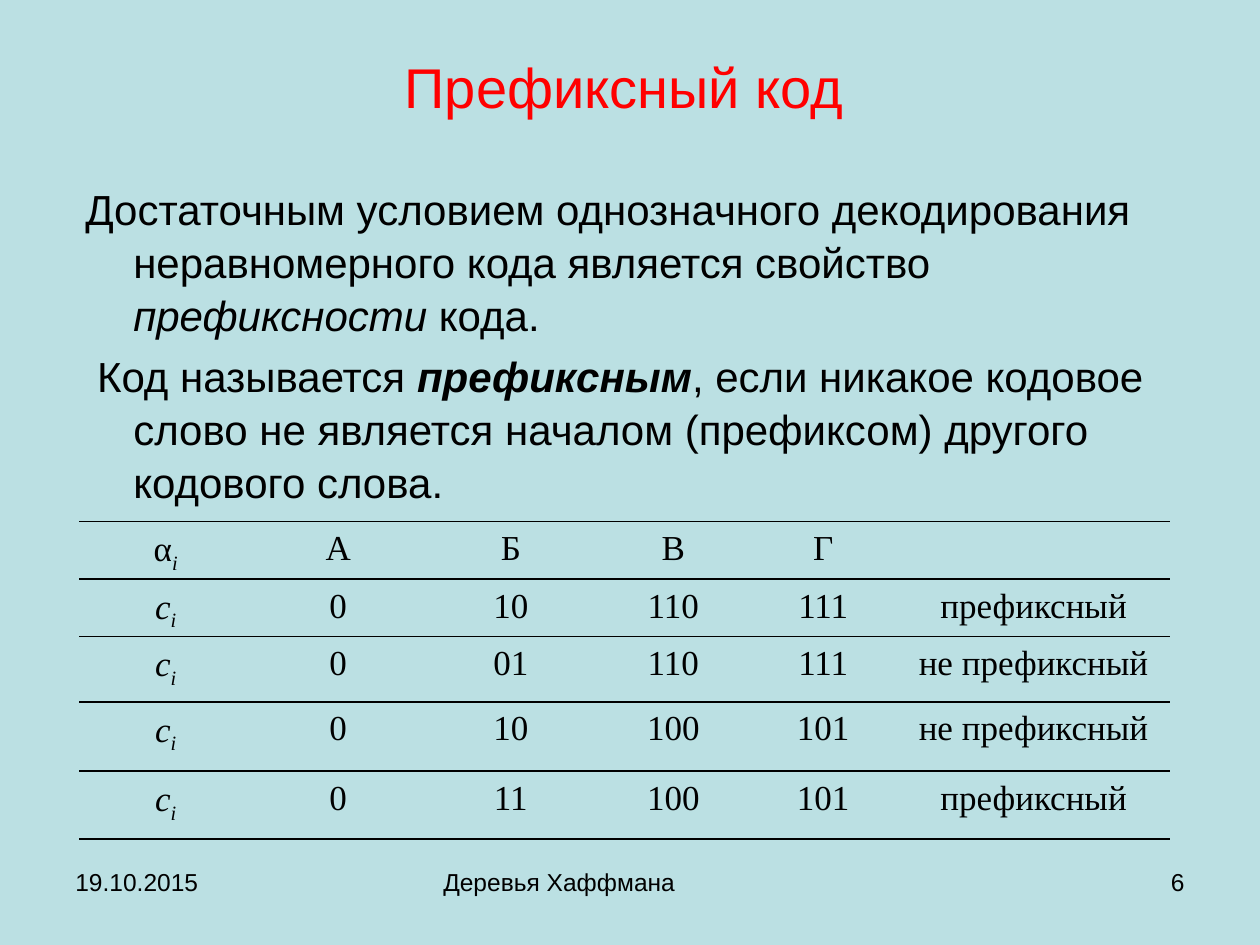
import pptx
import pptx.dml.color
import pptx.enum.text
import pptx.oxml
import pptx.oxml.ns
import pptx.util
from dataclasses import dataclass

Inches = pptx.util.Inches
Pt = pptx.util.Pt
Align = pptx.enum.text.PP_ALIGN
Anchor = pptx.enum.text.MSO_ANCHOR


@dataclass(frozen=True)
class Theme:
    back: str = "BBE0E3"
    ink: str = "000000"
    accent: str = "FF0000"
    sans: str = "Arial"
    serif: str = "Times New Roman"
    title: int = 32
    body: int = 24
    cell: int = 20
    foot: int = 14


THEME = Theme()

# Runs are (text, style): b bold, i italic, s subscript
BODY = [
    [("Достаточным условием однозначного декодирования неравномерного кода "
      "является свойство ", ""), ("префиксности", "i"), (" кода.", "")],
    [(" Код называется ", ""), ("префиксным", "bi"),
     (", если никакое кодовое слово не является началом (префиксом) "
      "другого кодового слова.", "")],
]
ALPHA = [("α", ""), ("i", "is")]
CODE = [("с", "i"), ("i", "is")]
ROWS = [
    (ALPHA, "А", "Б", "В", "Г", ""),
    (CODE, "0", "10", "110", "111", "префиксный"),
    (CODE, "0", "01", "110", "111", "не префиксный"),
    (CODE, "0", "10", "100", "101", "не префиксный"),
    (CODE, "0", "11", "100", "101", "префиксный"),
]
WIDTHS = [1.37, 1.37, 1.37, 1.21, 1.17, 2.17]
HEIGHTS = [0.42, 0.42, 0.52, 0.55, 0.54]


def color(code):
    return pptx.dml.color.RGBColor.from_string(code)


def write(para, runs, size, face, ink=THEME.ink, align=Align.LEFT):
    para.alignment = align
    font = para.font
    font.size, font.name = Pt(size), face
    font.color.rgb = color(ink)
    for text, style in runs:
        run = para.add_run()
        run.text = text
        # Runs name their font too, so that every viewer applies it
        run.font.size, run.font.name = Pt(size), face
        run.font.color.rgb = color(ink)
        if "b" in style:
            run.font.bold = True
        if "i" in style:
            run.font.italic = True
        if "s" in style:
            run.font._element.set("baseline", "-25000")


def add_box(slide, left, top, width, height, anchor=Anchor.TOP):
    box = slide.shapes.add_textbox(
        Inches(left), Inches(top), Inches(width), Inches(height))
    frame = box.text_frame
    frame.word_wrap = True
    frame.vertical_anchor = anchor
    return frame


def add_body(slide):
    frame = add_box(slide, 0.58, 1.39, 8.8, 2.57)
    for index, runs in enumerate(BODY):
        para = frame.add_paragraph() if index else frame.paragraphs[0]
        write(para, runs, THEME.body, THEME.sans)
        para.space_before = Pt(4.8)
        para.line_spacing = 1.05
        props = para._p.get_or_add_pPr()
        props.set("marL", str(Inches(0.38)))
        props.set("indent", str(-Inches(0.38)))


def rule_cell(cell):
    """Draw the top and bottom borders only."""
    props = cell._tc.get_or_add_tcPr()
    space = pptx.oxml.ns.nsdecls("a")
    solid = f'<a:solidFill><a:srgbClr val="{THEME.ink}"/></a:solidFill>'
    for index, side in enumerate("LRTB"):
        fill = solid if side in "TB" else "<a:noFill/>"
        line = pptx.oxml.parse_xml(
            f'<a:ln{side} {space} w="{Pt(1)}">{fill}</a:ln{side}>')
        props.insert(index, line)


def add_grid(slide):
    frame = slide.shapes.add_table(
        len(ROWS), len(WIDTHS), Inches(0.63), Inches(4.14),
        Inches(sum(WIDTHS)), Inches(sum(HEIGHTS)))
    table = frame.table
    table.first_row = table.horz_banding = False
    for column, width in zip(table.columns, WIDTHS):
        column.width = Inches(width)
    for row, height, values in zip(table.rows, HEIGHTS, ROWS):
        row.height = Inches(height)
        for cell, value in zip(row.cells, values):
            cell.fill.background()
            cell.margin_left = cell.margin_right = Inches(0.07)
            cell.margin_top = cell.margin_bottom = 0
            rule_cell(cell)
            para = cell.text_frame.paragraphs[0]
            if value:
                runs = [(value, "")] if isinstance(value, str) else value
                write(para, runs, THEME.cell, THEME.serif, align=Align.CENTER)
                para.line_spacing = 1.2
                para.space_before = para.space_after = Pt(3)


def main():
    deck = pptx.Presentation()
    deck.slide_width, deck.slide_height = Inches(10), Inches(7.5)
    slide = deck.slides.add_slide(deck.slide_layouts[6])
    slide.background.fill.solid()
    slide.background.fill.fore_color.rgb = color(THEME.back)

    # Title
    frame = add_box(slide, 0.51, 0.2, 8.89, 0.97, Anchor.MIDDLE)
    write(frame.paragraphs[0], [("Префиксный код", "")], THEME.title,
          THEME.sans, THEME.accent, Align.CENTER)

    # Definition and code table
    add_body(slide)
    add_grid(slide)

    # Footer
    for left, width, text, align in (
            (0.5, 2.33, "19.10.2015", Align.LEFT),
            (3.42, 3.17, "Деревья Хаффмана", Align.LEFT),
            (7.17, 2.33, "6", Align.RIGHT)):
        frame = add_box(slide, left, 6.83, width, 0.52)
        write(frame.paragraphs[0], [(text, "")], THEME.foot, THEME.sans,
              align=align)

    deck.save("out.pptx")


if __name__ == "__main__":
    main()
